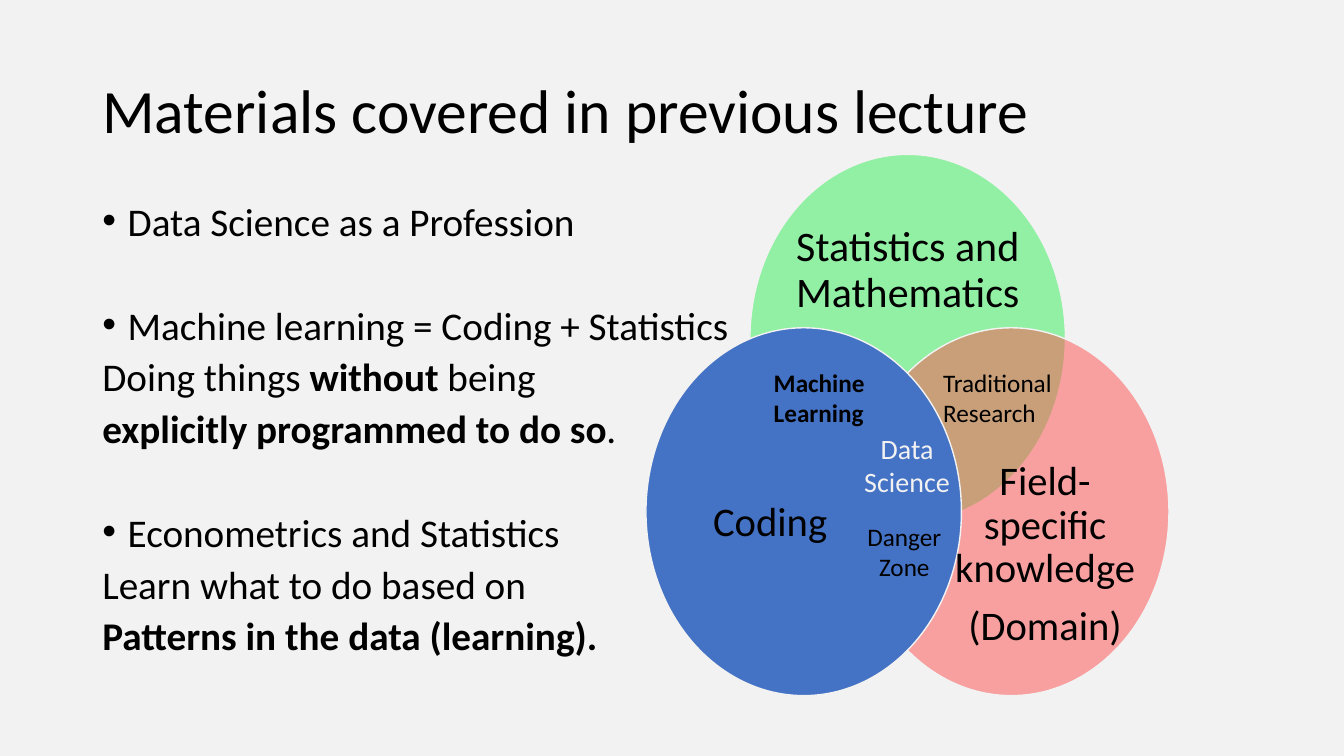
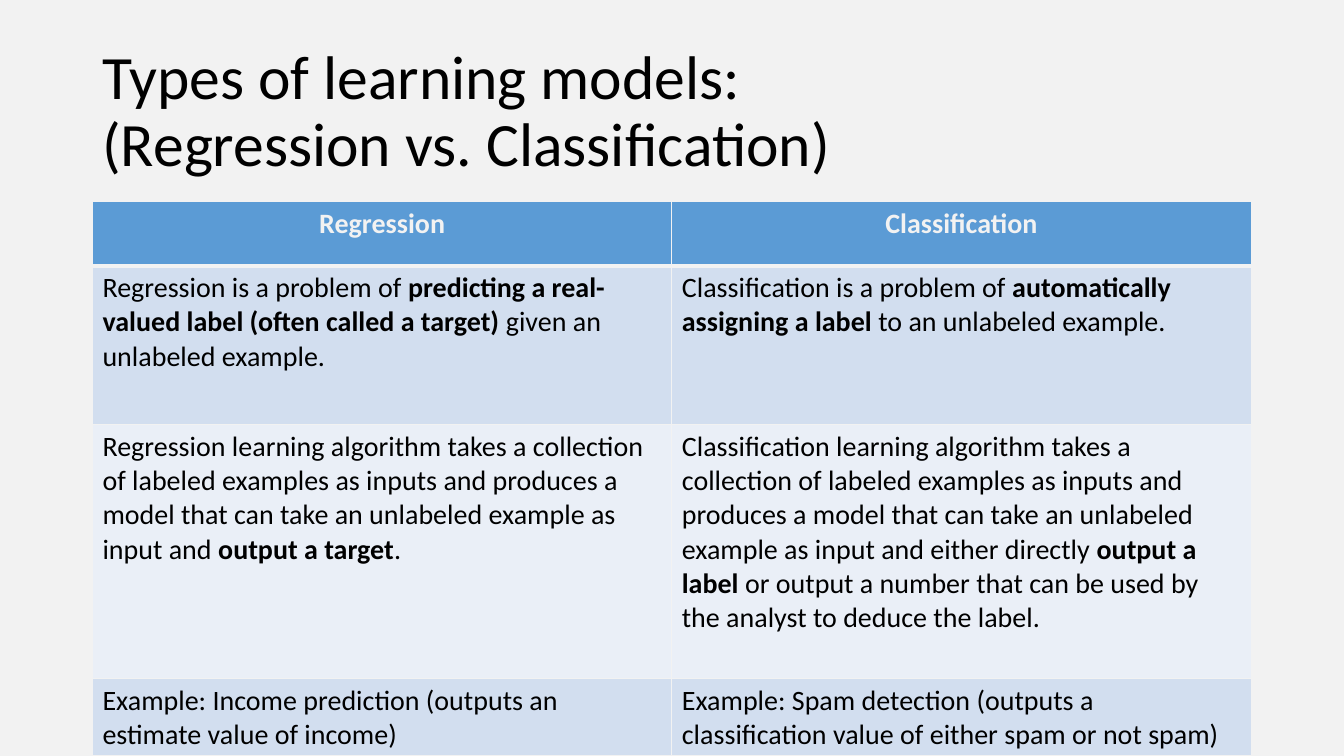
import pptx
import pptx.util
import pptx.dml.color
import pptx.enum.shapes
import pptx.enum.text
import pptx.oxml
import pptx.oxml.ns
from dataclasses import dataclass

Cm = pptx.util.Cm
Pt = pptx.util.Pt
RGB = pptx.dml.color.RGBColor.from_string
LEFT = pptx.enum.text.PP_ALIGN.LEFT
CENTER = pptx.enum.text.PP_ALIGN.CENTER
TOP = pptx.enum.text.MSO_ANCHOR.TOP
MIDDLE = pptx.enum.text.MSO_ANCHOR.MIDDLE


@dataclass(frozen=True)
class Theme:
    font: str = "Calibri"
    paper: str = "F2F2F2"
    ink: str = "000000"
    statistics: str = "91F0A3"
    domain: str = "FF5050"
    coding: str = "4472C4"
    header: str = "5B9BD5"
    odd_row: str = "D2DEEF"
    even_row: str = "EAEFF7"
    title: int = 44
    body: int = 28
    statistics_size: int = 30
    circle_size: int = 29
    science_size: int = 20
    overlap_size: int = 18
    table_size: int = 20


theme = Theme()


def write(frame, lines, size, color=theme.ink, align=LEFT, spacing=1.0):
    for index, line in enumerate(lines):
        paragraph = frame.paragraphs[0] if index == 0 else frame.add_paragraph()
        paragraph.alignment = align
        paragraph.line_spacing = spacing
        for part, words in enumerate(line.split("**")):
            if not words:
                continue
            if "\v" in words:
                paragraph.text = words
            else:
                paragraph.add_run().text = words
            for run in paragraph.runs[-1:] if "\v" not in words else paragraph.runs:
                run.font.name = theme.font
                run.font.size = Pt(size)
                run.font.bold = part % 2 == 1
                run.font.color.rgb = RGB(color)


def add_text(slide, box, lines, size, anchor=TOP, inset=True, **style):
    frame = slide.shapes.add_textbox(*map(Cm, box)).text_frame
    frame.word_wrap = True
    frame.vertical_anchor = anchor
    if not inset:
        frame.margin_left = frame.margin_right = 0
        frame.margin_top = frame.margin_bottom = 0
    write(frame, lines, size, **style)
    return frame


deck = pptx.Presentation()
deck.slide_width = Cm(33.87)
deck.slide_height = Cm(19.05)
background = deck.slide_master.background.fill
background.solid()
background.fore_color.rgb = RGB(theme.paper)

titles = [
    "Materials covered in previous lecture",
    "Types of learning models:\v(Regression vs. Classification)",
]
slides = []
for title in titles:
    slide = deck.slides.add_slide(deck.slide_layouts[6])
    add_text(slide, (2.33, 1.01, 29.21, 3.68), [title], theme.title,
             anchor=MIDDLE, spacing=0.9)
    slides.append(slide)
review, models = slides

topics = [
    ["Data Science as a Profession"],
    ["Machine learning = Coding + Statistics",
     "Doing things **without** being",
     "**explicitly programmed to do so**."],
    ["Econometrics and Statistics",
     "Learn what to do based on",
     "**Patterns in the data (learning).**"],
]
topic_lines = [line for topic in topics for line in topic]
topic_heads = [topic[0] for topic in topics]
outline = add_text(review, (2.33, 5.07, 16.51, 12.09), topic_lines, theme.body, spacing=0.8)
for index, paragraph in enumerate(outline.paragraphs):
    paragraph.space_before = Pt(10)
    if topic_lines[index] in topic_heads:
        if index:
            paragraph.space_before = Pt(47.3)
        properties = paragraph._p.get_or_add_pPr()
        properties.set("marL", str(Cm(0.64)))
        properties.set("indent", str(-Cm(0.64)))
        for tag, attribute, value in [("buFont", "typeface", "Arial"), ("buChar", "char", "•")]:
            bullet = pptx.oxml.parse_xml(f'<a:{tag} {pptx.oxml.ns.nsdecls("a")}/>')
            bullet.set(attribute, value)
            properties.append(bullet)

circles = [
    (18.9, 3.89, theme.statistics, 100),
    (21.51, 8.26, theme.domain, 50),
    (16.28, 8.26, theme.coding, 100),
]
for left, top, color, opacity in circles:
    circle = review.shapes.add_shape(
        pptx.enum.shapes.MSO_SHAPE.OVAL, Cm(left), Cm(top), Cm(7.95), Cm(9.27))
    circle.shadow.inherit = False
    circle.fill.solid()
    circle.fill.fore_color.rgb = RGB(color)
    circle.line.color.rgb = RGB(theme.paper)
    circle.line.width = Pt(1)
    if opacity < 100:
        tint = circle.element.xpath("./p:spPr/a:solidFill/a:srgbClr")[0]
        tint.append(pptx.oxml.parse_xml(
            f'<a:alpha {pptx.oxml.ns.nsdecls("a")} val="{opacity * 1000}"/>'))

fields = [
    ((19.96, 5.51, 5.84, 2.64), ["Statistics and Mathematics"], theme.statistics_size),
    ((23.95, 11.43, 4.78, 5.1), ["Field-specific knowledge", "(Domain)"], theme.circle_size),
    ((17.02, 10.64, 4.78, 5.1), ["Coding"], theme.circle_size),
]
for box, lines, size in fields:
    field = add_text(review, box, lines, size, anchor=MIDDLE, inset=False,
                     align=CENTER, spacing=0.9)
    for paragraph in field.paragraphs[:-1]:
        paragraph.space_after = Pt(10)

overlaps = [
    ((21.41, 10.74, 2.9, 1.96), "Data Science", theme.science_size, theme.paper, CENTER),
    ((19.25, 9.12, 2.9, 1.8), "**Machine Learning**", theme.overlap_size, theme.ink, LEFT),
    ((23.52, 9.12, 3.33, 1.8), "Traditional Research", theme.overlap_size, theme.ink, LEFT),
    ((21.34, 13, 2.9, 1.8), "Danger Zone", theme.overlap_size, theme.ink, CENTER),
]
for box, label, size, color, align in overlaps:
    add_text(review, box, [label], size, color=color, align=align)

comparison = [
    ("**Regression**", "**Classification**"),
    ("Regression is a problem of **predicting a real-valued label (often called a target) "
     "**given an unlabeled example.",
     "Classification is a problem of **automatically assigning a label** "
     "to an unlabeled example."),
    ("Regression learning algorithm takes a collection of labeled examples as inputs and "
     "produces a model that can take an unlabeled example as input and **output a target**.",
     "Classification learning algorithm takes a collection of labeled examples as inputs and "
     "produces a model that can take an unlabeled example as input and either directly "
     "**output a label** or output a number that can be used by the analyst to deduce "
     "the label."),
    ("Example: Income prediction (outputs an estimate value of income)",
     "Example: Spam detection (outputs a classification value of either spam or not spam)"),
]
row_heights = [1.62, 4, 6.4, 1.62]
row_fills = [theme.header, theme.odd_row, theme.even_row, theme.odd_row]
table = models.shapes.add_table(
    len(comparison), 2, Cm(2.33), Cm(5.08), Cm(29.21), Cm(sum(row_heights))).table
for column in table.columns:
    column.width = Cm(14.6)
for row, texts in enumerate(comparison):
    table.rows[row].height = Cm(row_heights[row])
    for column, text in enumerate(texts):
        cell = table.cell(row, column)
        edges = {"L": 1, "R": 1, "T": 3 if row == 1 else 1, "B": 3 if row == 0 else 1}
        for side, width in edges.items():
            cell._tc.get_or_add_tcPr().append(pptx.oxml.parse_xml(
                f'<a:ln{side} {pptx.oxml.ns.nsdecls("a")} w="{Pt(width)}"><a:solidFill>'
                f'<a:srgbClr val="{theme.paper}"/></a:solidFill></a:ln{side}>'))
        cell.fill.solid()
        cell.fill.fore_color.rgb = RGB(row_fills[row])
        write(cell.text_frame, [text], theme.table_size,
              color=theme.ink if row else theme.paper, align=LEFT if row else CENTER)

deck.save("out.pptx")
